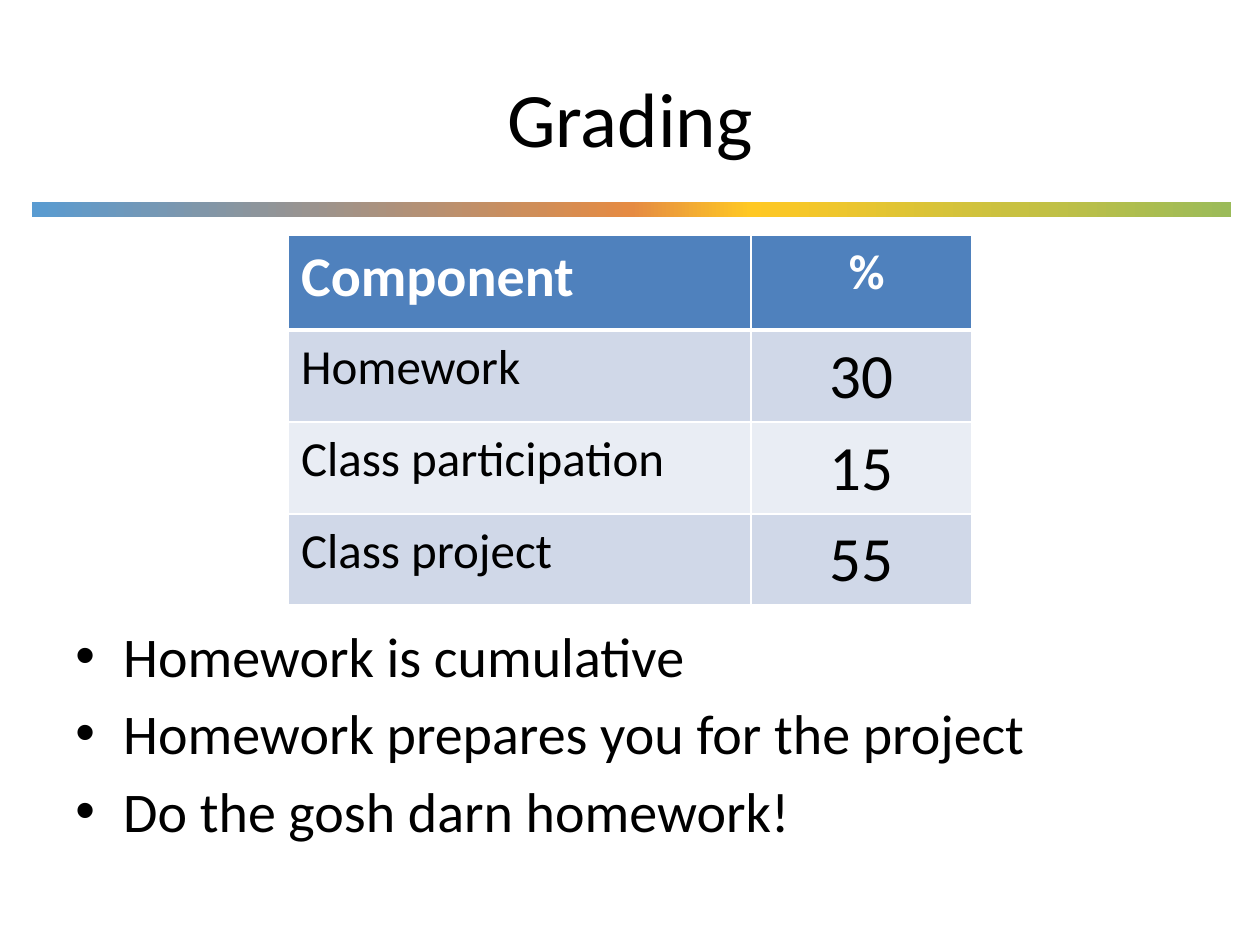
from dataclasses import dataclass

from lxml.etree import SubElement
from pptx import Presentation
from pptx.dml.color import RGBColor
from pptx.enum.shapes import MSO_SHAPE as Shape
from pptx.enum.text import MSO_ANCHOR as Anchor, PP_ALIGN as Align
from pptx.oxml.ns import qn
from pptx.util import Inches, Pt


@dataclass(frozen=True)
class Theme:
    font: str = "Calibri"
    black: str = "000000"
    white: str = "FFFFFF"
    header: str = "4F81BD"
    bands: tuple = ("D0D8E8", "E9EDF4")
    rule: tuple = ((0, "599BD1"), (50, "E58B43"), (60, "FFC824"), (100, "9BBB59"))
    title_size: int = 44
    large_size: int = 32
    label_size: int = 28
    value_size: int = 36
    thin: float = 0.91
    thick: float = 2.95


@dataclass(frozen=True)
class Area:
    left: float
    top: float
    width: float
    height: float

    def lengths(self) -> tuple:
        return tuple(Inches(n) for n in (self.left, self.top, self.width, self.height))


@dataclass(frozen=True)
class GradeRow:
    component: str
    percent: str


THEME = Theme()
HEADING = GradeRow("Component", " %")
GRADES = [
    GradeRow("Homework", "30"),
    GradeRow("Class participation", "15"),
    GradeRow("Class project", "55"),
]
NOTES = [
    "Homework is cumulative",
    "Homework prepares you for the project",
    "Do the gosh darn homework!",
]
COLUMN_WIDTHS = (3.67, 1.75)
ROW_HEIGHTS = (0.75, 0.73, 0.73, 0.72)


def write(para, text: str, *, size: float, color: str = THEME.black, bold: bool = False,
          align=Align.LEFT, spacing: float = 1.0, before: float = 0) -> None:
    para.alignment = align
    para.line_spacing = spacing
    para.space_before = Pt(before)
    span = para.add_run()
    span.text = text
    span.font.name = THEME.font
    span.font.size = Pt(size)
    span.font.bold = bold
    span.font.color.rgb = RGBColor.from_string(color)


def add_text_frame(page, area: Area, anchor=Anchor.TOP):
    frame = page.shapes.add_textbox(*area.lengths()).text_frame
    frame.word_wrap = True
    frame.vertical_anchor = anchor
    return frame


def add_rule(page, area: Area) -> None:
    """Draw the horizontal multicolour bar below the title."""
    bar = page.shapes.add_shape(Shape.RECTANGLE, *area.lengths())
    bar.shadow.inherit = False
    bar.line.fill.background()
    bar.fill.gradient()
    bar.fill.gradient_angle = 0
    stops = bar.element.spPr.find(f".//{qn('a:gsLst')}")
    for stop in list(stops):
        stops.remove(stop)
    for percent, color in THEME.rule:
        stop = SubElement(stops, qn("a:gs"), pos=str(percent * 1000))
        SubElement(stop, qn("a:srgbClr"), val=color)


def set_borders(cell, top: float, bottom: float) -> None:
    """Give the cell white borders; widths are in points."""
    properties = cell._tc.get_or_add_tcPr()
    widths = {"L": THEME.thin, "R": THEME.thin, "T": top, "B": bottom}
    for position, (side, width) in enumerate(widths.items()):
        line = SubElement(properties, qn(f"a:ln{side}"), w=str(Pt(width)))
        fill = SubElement(line, qn("a:solidFill"))
        SubElement(fill, qn("a:srgbClr"), val=THEME.white)
        properties.insert(position, line)


def add_grade_table(page, left: float, top: float) -> None:
    rows = [HEADING, *GRADES]
    area = Area(left, top, sum(COLUMN_WIDTHS), sum(ROW_HEIGHTS))
    table = page.shapes.add_table(len(rows), len(COLUMN_WIDTHS), *area.lengths()).table
    for column, width in zip(table.columns, COLUMN_WIDTHS):
        column.width = Inches(width)
    for index, (row, height) in enumerate(zip(rows, ROW_HEIGHTS)):
        table.rows[index].height = Inches(height)
        heading = index == 0
        fill = THEME.header if heading else THEME.bands[(index - 1) % 2]
        color = THEME.white if heading else THEME.black
        sizes = ((THEME.large_size, THEME.label_size) if heading
                 else (THEME.label_size, THEME.value_size))
        entries = zip((row.component, row.percent), sizes, (Align.LEFT, Align.CENTER))
        for column, (text, size, align) in enumerate(entries):
            cell = table.cell(index, column)
            cell.fill.solid()
            cell.fill.fore_color.rgb = RGBColor.from_string(fill)
            set_borders(cell, top=THEME.thick if index == 1 else THEME.thin,
                        bottom=THEME.thick if heading else THEME.thin)
            write(cell.text_frame.paragraphs[0], text, size=size, color=color,
                  bold=heading, align=align, spacing=1.02)


def add_bullets(page, area: Area, items: list[str]) -> None:
    frame = add_text_frame(page, area)
    for index, text in enumerate(items):
        para = frame.add_paragraph() if index else frame.paragraphs[0]
        write(para, text, size=THEME.large_size, before=6 if index else 0)
        properties = para._p.get_or_add_pPr()
        properties.set("marL", str(Inches(0.38)))
        properties.set("indent", str(Inches(-0.38)))
        SubElement(properties, qn("a:buFont"), typeface="Arial")
        SubElement(properties, qn("a:buChar"), char="•")


def main() -> None:
    deck = Presentation()
    deck.slide_width, deck.slide_height = Inches(10), Inches(7.5)
    page = deck.slides.add_slide(deck.slide_layouts[6])
    add_rule(page, Area(0.25, 1.6, 9.52, 0.12))
    title = add_text_frame(page, Area(0.5, 0.3, 9, 1.25), Anchor.MIDDLE)
    write(title.paragraphs[0], "Grading", size=THEME.title_size, align=Align.CENTER)
    add_bullets(page, Area(0.5, 4.88, 9, 2.4), NOTES)
    add_grade_table(page, 2.29, 1.87)
    deck.save("out.pptx")


if __name__ == "__main__":
    main()
